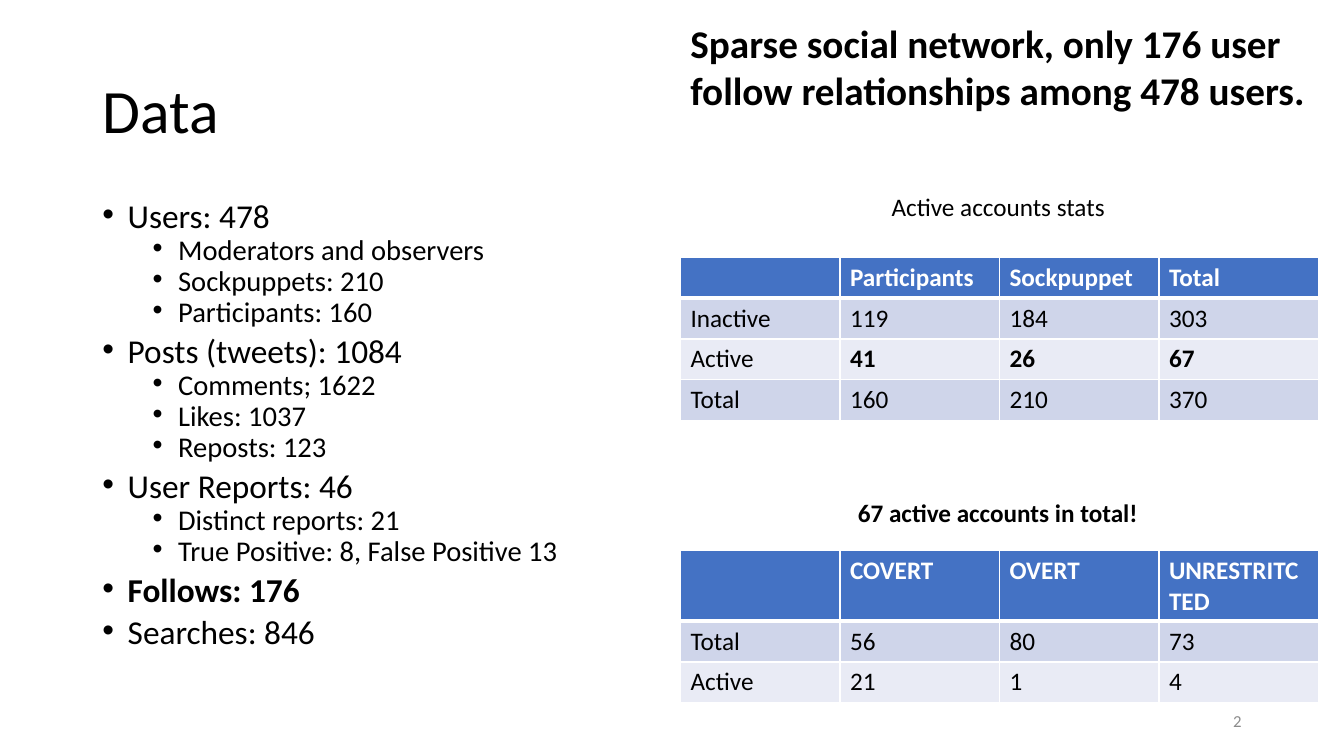
import pptx
import pptx.dml.color
import pptx.enum.text
import pptx.oxml
import pptx.oxml.ns
import pptx.util
from lxml import etree

Cm, Pt = pptx.util.Cm, pptx.util.Pt
ALIGN = pptx.enum.text.PP_ALIGN
ANCHOR = pptx.enum.text.MSO_ANCHOR
FIT = pptx.enum.text.MSO_AUTO_SIZE
FONT = "Calibri"
BLACK, WHITE, GREY = "000000", "FFFFFF", "8C8C8C"
HEADER_FILL, BAND_FILLS = "4472C4", ("CFD5EA", "E9EBF5")

# Each entry: text, level, bold
DATA_POINTS = [
    ("Users: 478", 0, False),
    ("Moderators and observers", 1, False),
    ("Sockpuppets: 210", 1, False),
    ("Participants: 160", 1, False),
    ("Posts (tweets): 1084", 0, False),
    ("Comments; 1622", 1, False),
    ("Likes: 1037", 1, False),
    ("Reposts: 123", 1, False),
    ("User Reports: 46", 0, False),
    ("Distinct reports: 21", 1, False),
    ("True Positive: 8, False Positive 13", 1, False),
    ("Follows: 176", 0, True),
    ("Searches: 846", 0, False),
]
ACCOUNT_STATS = [
    ("", "Participants", "Sockpuppet", "Total"),
    ("Inactive", "119", "184", "303"),
    ("Active", "41", "26", "67"),
    ("Total", "160", "210", "370"),
]
GROUP_STATS = [
    ("", "COVERT", "OVERT", "UNRESTRITCTED"),
    ("Total", "56", "80", "73"),
    ("Active", "21", "1", "4"),
]


def rgb(value):
    return pptx.dml.color.RGBColor.from_string(value)


def style(paragraph, size, color=BLACK, bold=False):
    font = paragraph.font
    font.name, font.size, font.bold = FONT, Pt(size), bold
    font.color.rgb = rgb(color)


def add_title(slide, box, text):
    title = slide.shapes.title
    title.left, title.top, title.width, title.height = box
    frame = title.text_frame
    frame.text = text
    frame.auto_size = FIT.NONE
    frame.vertical_anchor = ANCHOR.MIDDLE
    heading = frame.paragraphs[0]
    heading.alignment = ALIGN.LEFT
    heading.line_spacing = 0.9
    style(heading, 44)


def add_text(slide, box, text, size, bold=False, wrap=True):
    frame = slide.shapes.add_textbox(*box).text_frame
    frame.word_wrap = wrap
    frame.auto_size = FIT.SHAPE_TO_FIT_TEXT
    frame.text = text
    style(frame.paragraphs[0], size, bold=bold)


def add_bullets(slide, box, points):
    frame = slide.shapes.add_textbox(*box).text_frame
    frame.word_wrap = True
    for index, (text, level, bold) in enumerate(points):
        point = frame.add_paragraph() if index else frame.paragraphs[0]
        point.text, point.level = text, level
        point.line_spacing = 0.7
        point.space_before = Pt((10, 5)[level])
        style(point, (23.8, 20.4)[level], bold=bold)
        # Hanging bullet
        props = point._p.get_or_add_pPr()
        props.set("marL", str(Cm((0.64, 1.91)[level])))
        props.set("indent", str(-Cm(0.64)))
        for tag, key, value in (("a:buFont", "typeface", "Arial"), ("a:buChar", "char", "•")):
            bullet = pptx.oxml.ns.qn(tag)
            props.insert_element_before(
                props.makeelement(bullet, {key: value}), "a:tabLst", "a:defRPr", "a:extLst")


def add_borders(cell, widths):
    props = cell._tc.get_or_add_tcPr()
    for side, width in widths.items():
        line = etree.SubElement(props, pptx.oxml.ns.qn(f"a:ln{side}"), w=str(Pt(width)))
        fill = etree.SubElement(line, pptx.oxml.ns.qn("a:solidFill"))
        etree.SubElement(fill, pptx.oxml.ns.qn("a:srgbClr"), val=WHITE)


def add_stats_table(slide, box, rows, header_height, bold_row=None):
    left, top, width, height = box
    columns = len(rows[0])
    table = slide.shapes.add_table(len(rows), columns, left, top, width, height).table
    for column in table.columns:
        column.width = width // columns
    for r, values in enumerate(rows):
        table.rows[r].height = header_height if r == 0 else (height - header_height) // (len(rows) - 1)
        for c, value in enumerate(values):
            cell = table.cell(r, c)
            add_borders(cell, {"L": 1, "R": 1, "T": 3 if r == 1 else 1, "B": 3 if r == 0 else 1})
            cell.fill.solid()
            cell.fill.fore_color.rgb = rgb(BAND_FILLS[(r - 1) % 2] if r else HEADER_FILL)
            cell.text = value
            bold = r == 0 or (r == bold_row and c > 0)
            style(cell.text_frame.paragraphs[0], 18, BLACK if r else WHITE, bold)


def add_slide_number(slide, box, number):
    frame = slide.shapes.add_textbox(*box).text_frame
    frame.word_wrap = True
    frame.vertical_anchor = ANCHOR.MIDDLE
    paragraph = frame.paragraphs[0]
    paragraph.text = number
    paragraph.alignment = ALIGN.RIGHT
    style(paragraph, 12, GREY)


def build_data_slide(deck):
    slide = deck.slides.add_slide(deck.slide_layouts[5])
    tables_left, tables_width = Cm(17.15), Cm(16.08)

    # Left side: title and bullet list
    add_title(slide, (Cm(2.33), Cm(1.01), Cm(29.21), Cm(3.68)), "Data")
    add_bullets(slide, (Cm(2.33), Cm(5.07), Cm(14.4), Cm(12.09)), DATA_POINTS)

    # Right side: key message, captions and tables
    add_text(slide, (tables_left, Cm(0.37), tables_width, Cm(2.65)),
             "Sparse social network, only 176 user follow relationships among 478 users.", 28, bold=True)
    add_text(slide, (Cm(22.22), Cm(4.69), Cm(5.95), Cm(1.03)), "Active accounts stats", 18, wrap=False)
    add_stats_table(slide, (tables_left, Cm(6.48), tables_width, Cm(4.12)),
                    ACCOUNT_STATS, Cm(1.03), bold_row=2)
    add_text(slide, (Cm(21.37), Cm(12.4), Cm(7.63), Cm(1.03)),
             "67 active accounts in total!", 18, bold=True, wrap=False)
    add_stats_table(slide, (tables_left, Cm(13.87), tables_width, Cm(3.84)), GROUP_STATS, Cm(1.78))

    # Footer
    add_slide_number(slide, (Cm(23.92), Cm(17.66), Cm(7.62), Cm(1.01)), "2")


def main():
    deck = pptx.Presentation()
    deck.slide_width, deck.slide_height = Cm(33.87), Cm(19.05)
    build_data_slide(deck)
    deck.save("out.pptx")


if __name__ == "__main__":
    main()
